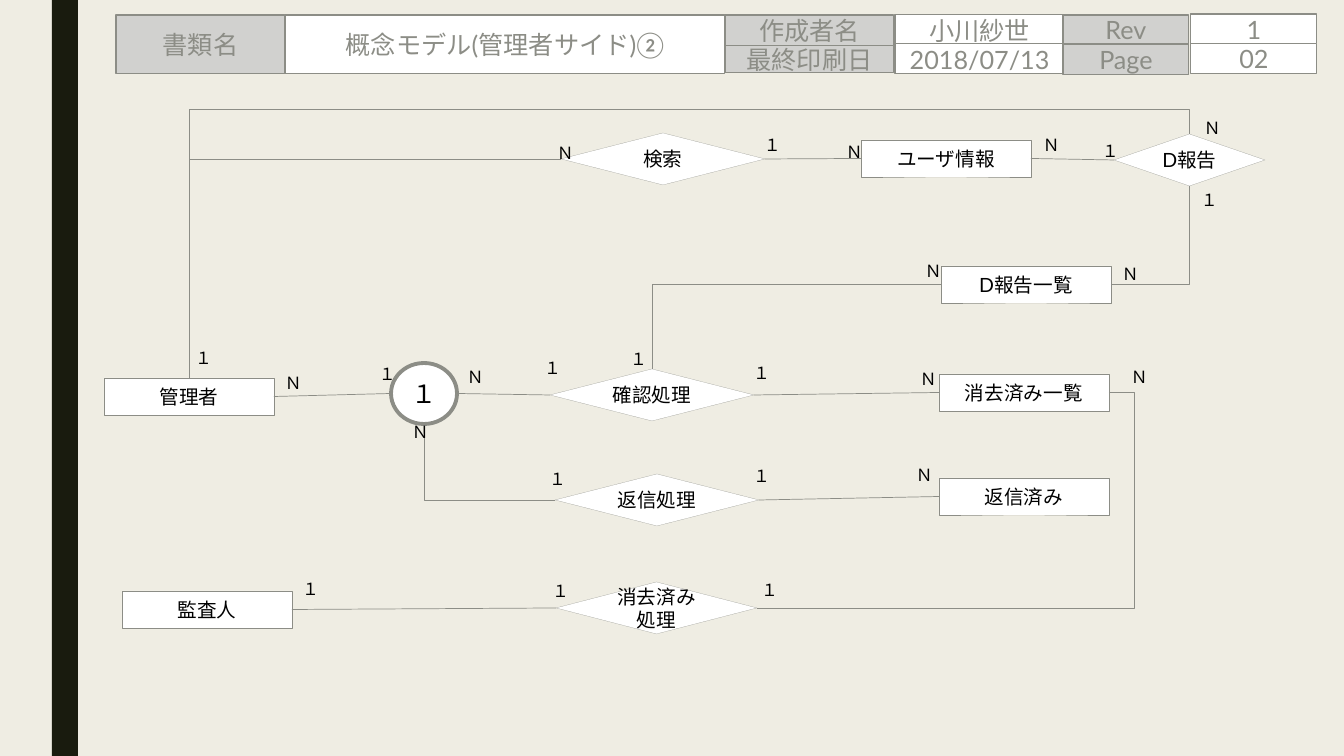
import pptx
import pptx.util
import pptx.dml.color
import pptx.enum.shapes
import pptx.enum.text
import pptx.oxml
import pptx.oxml.ns

RGBColor = pptx.dml.color.RGBColor
SHAPE = pptx.enum.shapes.MSO_SHAPE
CONNECTOR = pptx.enum.shapes.MSO_CONNECTOR
BACKGROUND = RGBColor(0xEF, 0xED, 0xE3)
BAR = RGBColor(0x19, 0x1B, 0x0E)
GRAY = RGBColor(0x8C, 0x8D, 0x86)
LIGHT_GRAY = RGBColor(0xD1, 0xD1, 0xCF)
WHITE = RGBColor(0xFF, 0xFF, 0xFF)
BLACK = RGBColor(0, 0, 0)
FONT = "Lato"
EMU_PER_PIXEL = 914400 / 100.8

HEADER = [
    ("書類名", 116, 15, 169, 59, LIGHT_GRAY),
    ("概念モデル(管理者サイド)②", 285, 15, 440, 59, WHITE),
    ("作成者名", 725, 15, 169, 31, LIGHT_GRAY),
    ("最終印刷日", 725, 46, 169, 27, LIGHT_GRAY),
    ("小川紗世", 895, 15, 169, 30, WHITE),
    ("2018/07/13", 895, 44, 169, 30, WHITE),
    ("Rev", 1063, 15, 126, 29, LIGHT_GRAY),
    ("Page", 1063, 44, 126, 31, LIGHT_GRAY),
    ("1", 1191, 14, 126, 31, WHITE),
    ("02", 1191, 43, 126, 31, WHITE),
]
ENTITY_SIZE = (170, 37)
ENTITIES = {
    "管理者": (104, 378),
    "ユーザ情報": (861, 140),
    "消去済み一覧": (939, 374),
    "返信済み": (939, 478),
    "監査人": (122, 591),
    "D報告一覧": (941, 266),
}
RELATION_HEIGHT = 52
RELATIONS = {
    "検索": (561, 133, 204),
    "確認処理": (550, 369, 204),
    "返信処理": (555, 474, 204),
    "消去済み処理": (556, 582, 201),
    "D報告": (1114, 134, 151),
}
HUB = "１"
HUB_BOX = (391, 363, 66, 61)

STRAIGHT_LINKS = [
    ("管理者", HUB),
    (HUB, "確認処理"),
    ("検索", "ユーザ情報"),
    ("確認処理", "消去済み一覧"),
    ("返信処理", "返信済み"),
    ("ユーザ情報", "D報告"),
    ("監査人", "消去済み処理"),
]
CORNER_LINKS = [
    ("検索", "left", "管理者", "top"),
    ("返信処理", "left", HUB, "bottom"),
    ("D報告一覧", "right", "D報告", "bottom"),
    ("D報告一覧", "left", "確認処理", "top"),
]
TOP_ROUTE_Y = 109
RIGHT_ROUTE_X = 1134

MANY_SIZE = (28, 26)
MANY_LABELS = [
    (275, 370), (547, 140), (836, 139), (1033, 132), (1121, 364), (906, 462),
    (457, 364), (402, 419), (910, 366), (1194, 115), (915, 258), (1112, 261),
]
ONE_LABELS = [
    (540, 578, 41, 25), (290, 572, 41, 34), (749, 573, 41, 34),
    (741, 356, 41, 34), (183, 341, 41, 34), (369, 353, 36, 42),
    (537, 462, 41, 34), (532, 347, 41, 42), (741, 456, 41, 40),
    (618, 342, 41, 34), (1191, 184, 33, 32), (1092, 135, 33, 32),
    (754, 129, 33, 32),
]


def px(value):
    return round(value * EMU_PER_PIXEL)


def write(shape, text, size, color):
    frame = shape.text_frame
    frame.word_wrap = True
    frame.vertical_anchor = pptx.enum.text.MSO_ANCHOR.MIDDLE
    frame.text = text
    paragraph = frame.paragraphs[0]
    paragraph.alignment = pptx.enum.text.PP_ALIGN.CENTER
    font = paragraph.runs[0].font
    font.name, font.size = FONT, pptx.util.Pt(size)
    font.color.rgb = color


def add_box(kind, box, fill, line_width=None):
    shape = slide.shapes.add_shape(kind, *map(px, box))
    shape.shadow.inherit = False
    shape.fill.solid()
    shape.fill.fore_color.rgb = fill
    if line_width is None:
        shape.line.fill.background()
    else:
        shape.line.color.rgb = GRAY
        shape.line.width = pptx.util.Pt(line_width)
    return shape


def add_node(name, kind, box, line_width=0.1, size=14):
    write(add_box(kind, box, WHITE, line_width), name, size, BLACK)
    nodes[name] = box


def add_label(text, box):
    write(slide.shapes.add_textbox(*map(px, box)), text, 12, BLACK)


def side(name, edge):
    left, top, width, height = nodes[name]
    return {
        "top": (left + width / 2, top),
        "bottom": (left + width / 2, top + height),
        "left": (left, top + height / 2),
        "right": (left + width, top + height / 2),
    }[edge]


def add_link(kind, start, end):
    connector = slide.shapes.add_connector(kind, *map(px, start + end))
    connector.line.color.rgb = GRAY
    connector.line.width = pptx.util.Pt(0.5)
    connector._element.spPr.append(pptx.oxml.parse_xml(
        "<a:effectLst %s/>" % pptx.oxml.ns.nsdecls("a")))
    return connector


def set_bend(connector, ratio):
    guides = connector._element.spPr.find(".//" + pptx.oxml.ns.qn("a:avLst"))
    guides.append(pptx.oxml.parse_xml(
        '<a:gd %s name="adj1" fmla="val %d"/>'
        % (pptx.oxml.ns.nsdecls("a"), round(ratio * 100000))))


presentation = pptx.Presentation()
presentation.slide_width = px(1344)
presentation.slide_height = px(756)
slide = presentation.slides.add_slide(presentation.slide_layouts[6])
slide.background.fill.solid()
slide.background.fill.fore_color.rgb = BACKGROUND
nodes = {}

add_box(SHAPE.RECTANGLE, (52, 0, 26, 756), BAR)
for text, left, top, width, height, fill in HEADER:
    write(add_box(SHAPE.RECTANGLE, (left, top, width, height), fill, 0.75), text, 18, GRAY)
for name, corner in ENTITIES.items():
    add_node(name, SHAPE.RECTANGLE, corner + ENTITY_SIZE)
for name, place in RELATIONS.items():
    add_node(name, SHAPE.DIAMOND, place + (RELATION_HEIGHT,))
add_node(HUB, SHAPE.OVAL, HUB_BOX, 2.75, 18)

for first, second in STRAIGHT_LINKS:
    add_link(CONNECTOR.STRAIGHT, side(first, "right"), side(second, "left"))
for first, first_edge, second, second_edge in CORNER_LINKS:
    corner_link = add_link(CONNECTOR.ELBOW, side(first, first_edge), side(second, second_edge))
    corner_link._element.spPr.find(pptx.oxml.ns.qn("a:prstGeom")).set("prst", "bentConnector2")

start, end = side("消去済み一覧", "right"), side("消去済み処理", "right")
right_route = add_link(CONNECTOR.ELBOW, start, end)
set_bend(right_route, (RIGHT_ROUTE_X - start[0]) / (end[0] - start[0]))

start, end = side("管理者", "top"), side("D報告", "top")
center_x, center_y = (start[0] + end[0]) / 2, (start[1] + end[1]) / 2
half_rise, half_run = (start[1] - end[1]) / 2, (end[0] - start[0]) / 2
top_route = add_link(
    CONNECTOR.ELBOW,
    (center_x + half_rise, center_y + half_run),
    (center_x - half_rise, center_y - half_run))
top_route._element.spPr.find(pptx.oxml.ns.qn("a:xfrm")).set("rot", "5400000")
set_bend(top_route, (start[1] - TOP_ROUTE_Y) / (start[1] - end[1]))

for corner in MANY_LABELS:
    add_label("Ｎ", corner + MANY_SIZE)
for box in ONE_LABELS:
    add_label("１", box)

presentation.save("out.pptx")
